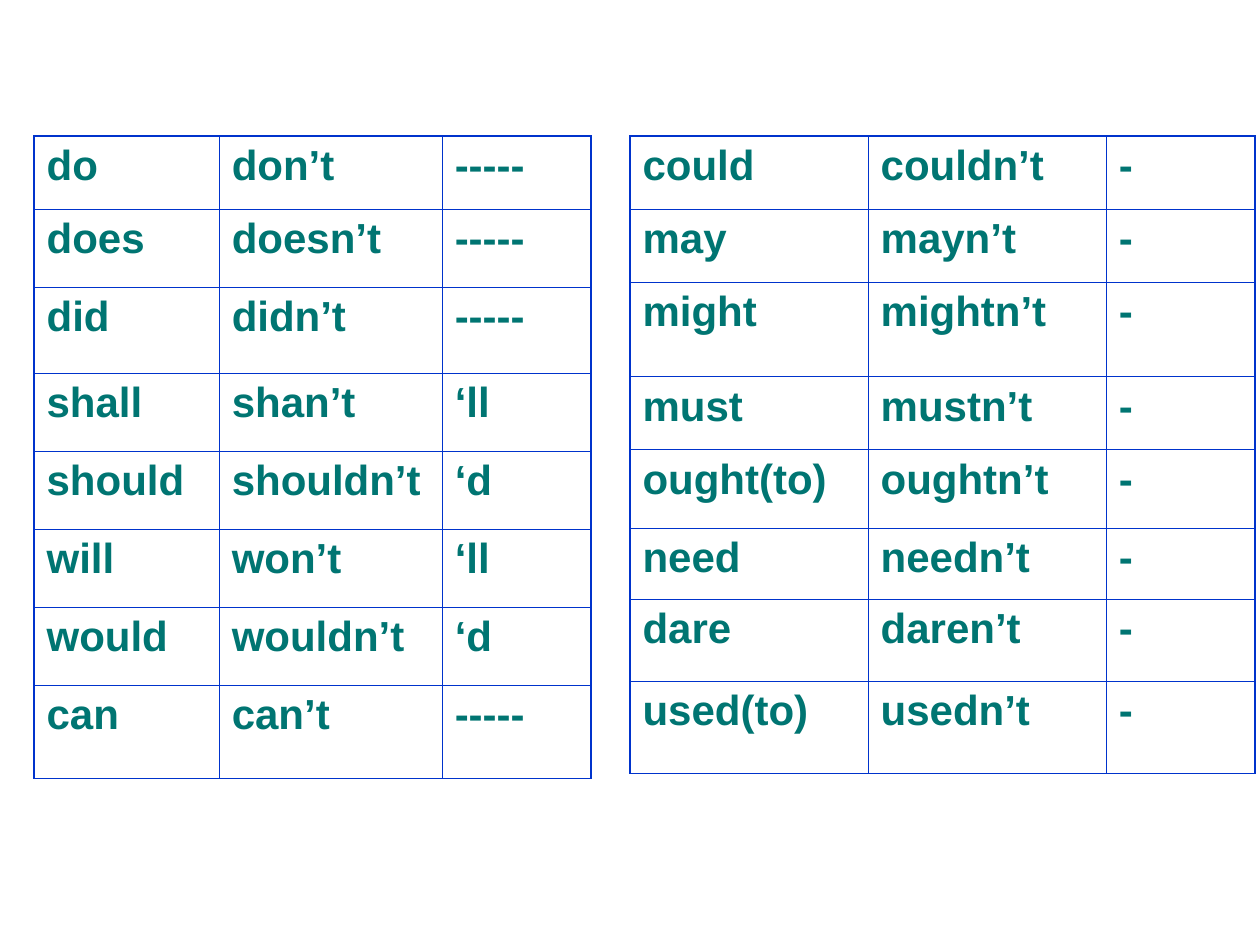
from pptx import Presentation
from pptx.dml.color import RGBColor as RGB
from pptx.oxml.ns import qn
from pptx.util import Inches, Pt
from lxml.etree import SubElement

TEXT_COLOR = "007572"
BORDER_COLOR = "0033CC"
OUTER, INNER = 1.08, 0.45
TOP = 1.08

DO_TO_CAN = [
    ("do", "don’t", "-----"),
    ("does", "doesn’t", "-----"),
    ("did", "didn’t", "-----"),
    ("shall", "shan’t", "‘ll"),
    ("should", "shouldn’t", "‘d"),
    ("will", "won’t", "‘ll"),
    ("would", "wouldn’t", "‘d"),
    ("can", "can’t", "-----"),
]
COULD_TO_USED = [
    ("could", "couldn’t", "-"),
    ("may", "mayn’t", "-"),
    ("might", "mightn’t", "-"),
    ("must", "mustn’t", "-"),
    ("ought(to)", "oughtn’t", "-"),
    ("need", "needn’t", "-"),
    ("dare", "daren’t", "-"),
    ("used(to)", "usedn’t", "-"),
]


def color(hex_code):
    """Turn a hex string into a colour."""
    return RGB.from_string(hex_code)


def set_text(tf, text, size=24, font="Arial", hex_code=TEXT_COLOR, bold=True):
    """Write one formatted run into a text frame."""
    r = tf.paragraphs[0].add_run()
    r.text = text
    r.font.size, r.font.name, r.font.bold = Pt(size), font, bold
    r.font.color.rgb = color(hex_code)


def set_borders(cell, widths):
    """Draw the cell's sides, given as a dict of side letter to points."""
    tcPr = cell._tc.get_or_add_tcPr()
    for i, (side, width) in enumerate(widths.items()):
        ln = SubElement(tcPr, qn(f"a:ln{side}"), w=str(Pt(width)))
        fill = SubElement(ln, qn("a:solidFill"))
        SubElement(fill, qn("a:srgbClr"), val=BORDER_COLOR)
        tcPr.insert(i, ln)


def add_verb_table(s, left, col_widths, row_heights, rows):
    """Add a table of verbs, negatives and short forms."""
    shape = s.shapes.add_table(
        len(rows), len(col_widths), Inches(left), Inches(TOP),
        Inches(sum(col_widths)), Inches(sum(row_heights)))
    table = shape.table
    table.first_row = table.horz_banding = False
    for col, width in zip(table.columns, col_widths):
        col.width = Inches(width)
    for row, height in zip(table.rows, row_heights):
        row.height = Inches(height)
    last_row, last_col = len(rows) - 1, len(col_widths) - 1
    for i, words in enumerate(rows):
        for j, word in enumerate(words):
            cell = table.cell(i, j)
            cell.fill.background()
            set_text(cell.text_frame, word)
            set_borders(cell, {
                "L": OUTER if j == 0 else INNER,
                "R": OUTER if j == last_col else INNER,
                "T": OUTER if i == 0 else INNER,
                "B": OUTER if i == last_row else INNER,
            })


def main():
    """Build the slide with its two verb tables."""
    prs = Presentation()
    prs.slide_width, prs.slide_height = Inches(10), Inches(7.5)
    s = prs.slides.add_slide(prs.slide_layouts[6])
    add_verb_table(s, 0.27, [1.47, 1.77, 1.18],
                   [0.58, 0.62, 0.68, 0.62, 0.62, 0.62, 0.62, 0.74], DO_TO_CAN)
    add_verb_table(s, 5, [1.89, 1.89, 1.18],
                   [0.58, 0.58, 0.75, 0.58, 0.62, 0.57, 0.65, 0.73], COULD_TO_USED)
    prs.save("out.pptx")


if __name__ == "__main__":
    main()
